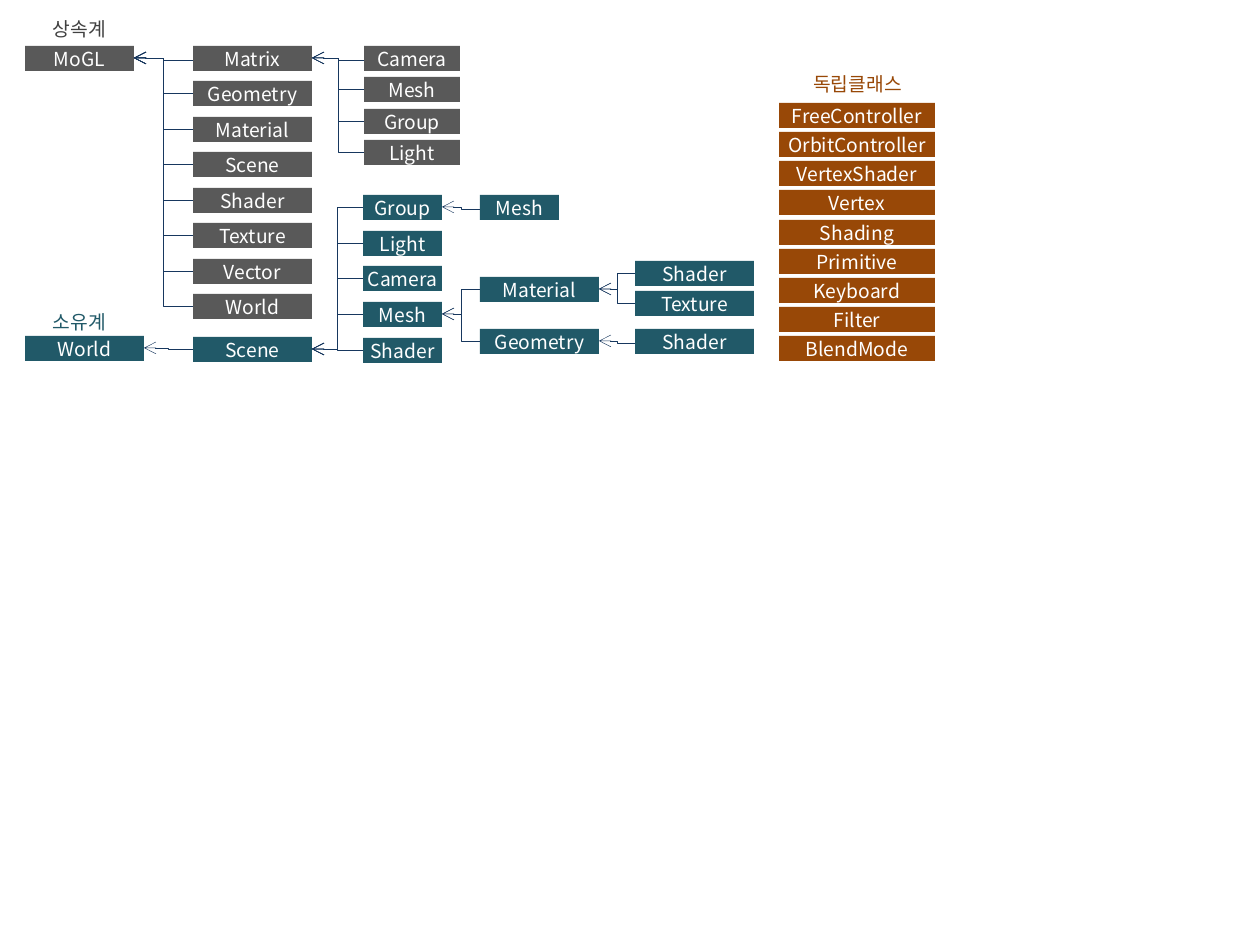
"""Build the class diagram slide: inheritance, ownership and independent classes."""
from lxml import etree
from pptx import Presentation
from pptx.dml.color import RGBColor
from pptx.enum.shapes import MSO_CONNECTOR, MSO_SHAPE
from pptx.enum.text import MSO_ANCHOR, PP_ALIGN
from pptx.oxml.ns import qn
from pptx.util import Inches, Pt

ELBOW = MSO_CONNECTOR.ELBOW
RECT = MSO_SHAPE.RECTANGLE
MIDDLE = MSO_ANCHOR.MIDDLE
CENTER = PP_ALIGN.CENTER

GRAY = RGBColor(0x59, 0x59, 0x59)
DARK = RGBColor(0x40, 0x40, 0x40)
TEAL = RGBColor(0x21, 0x59, 0x68)
BROWN = RGBColor(0x98, 0x48, 0x07)
NAVY = RGBColor(0x17, 0x37, 0x5E)
WHITE = RGBColor(0xFF, 0xFF, 0xFF)

FONT = "Noto Sans CJK KR"
ROW_H = 25
WIDE = 119
NARROW = 79
KINK = 2


def px(n):
    """Turn pixels into EMU."""
    return Inches(n / 126)


def write(sp, text, color):
    """Put one centred line of text into a shape."""
    tf = sp.text_frame
    tf.word_wrap = False
    tf.vertical_anchor = MIDDLE
    tf.margin_left = tf.margin_right = tf.margin_top = tf.margin_bottom = 0
    p = tf.paragraphs[0]
    p.text = text
    p.alignment = CENTER
    r = p.runs[0]
    r.font.size = Pt(11)
    r.font.name = FONT
    r.font.color.rgb = color
    etree.SubElement(r.font._element, qn("a:ea")).set("typeface", FONT)


def add_label(s, text, x, y, color):
    """Add a group heading."""
    sp = s.shapes.add_textbox(px(x), px(y), px(109), px(ROW_H))
    write(sp, text, color)


def add_box(s, name, x, y, w, fill):
    """Add a class box and return its x, y and width."""
    sp = s.shapes.add_shape(RECT, px(x), px(y), px(w), px(ROW_H))
    sp.shadow.inherit = False
    sp.fill.solid()
    sp.fill.fore_color.rgb = fill
    sp.line.fill.background()
    write(sp, name, WHITE)
    return x, y, w


def add_column(s, names, x, top, last, w, fill):
    """Add evenly spaced boxes from the top row to the last row."""
    step = (last - top) / (len(names) - 1)
    return [add_box(s, name, x, round(top + i * step), w, fill)
            for i, name in enumerate(names)]


def link(s, parent, children):
    """Draw an elbow arrow from each child to its parent."""
    x, y, w = parent
    for child_x, child_y, _ in children:
        drop = KINK if child_y == y else 0
        line = s.shapes.add_connector(
            ELBOW, px(child_x), px(child_y + ROW_H // 2 + drop),
            px(x + w), px(y + ROW_H // 2))
        line.line.color.rgb = NAVY
        line.line.width = Pt(0.25)
        ln = line.line._get_or_add_ln()
        etree.SubElement(ln, qn("a:tailEnd")).set("type", "arrow")
        etree.SubElement(line._element.spPr, qn("a:effectLst"))


def add_inheritance(s):
    """Draw the inheritance tree."""
    add_label(s, "상속계", 25, 16, DARK)
    root = add_box(s, "MoGL", 25, 46, 109, GRAY)
    classes = add_column(
        s, ["Matrix", "Geometry", "Material", "Scene", "Shader", "Texture",
            "Vector", "World"], 193, 46, 294, WIDE, GRAY)
    matrix_children = add_column(
        s, ["Camera", "Mesh", "Group", "Light"], 364, 46, 140, 96, GRAY)
    link(s, root, classes)
    link(s, classes[0], matrix_children)


def add_ownership(s):
    """Draw the ownership tree."""
    add_label(s, "소유계", 25, 309, TEAL)
    world = add_box(s, "World", 25, 336, WIDE, TEAL)
    scene = add_box(s, "Scene", 193, 337, WIDE, TEAL)
    members = add_column(
        s, ["Group", "Light", "Camera", "Mesh", "Shader"],
        363, 195, 338, NARROW, TEAL)
    group_mesh = add_box(s, "Mesh", 480, 195, NARROW, TEAL)
    material, geometry = add_column(
        s, ["Material", "Geometry"], 480, 277, 329, WIDE, TEAL)
    material_parts = add_column(
        s, ["Shader", "Texture"], 635, 261, 291, WIDE, TEAL)
    geometry_shader = add_box(s, "Shader", 635, 329, WIDE, TEAL)
    link(s, world, [scene])
    link(s, scene, members)
    link(s, members[0], [group_mesh])
    link(s, members[3], [material, geometry])
    link(s, material, material_parts)
    link(s, geometry, [geometry_shader])


def add_independent(s):
    """Draw the list of independent classes."""
    add_label(s, "독립클래스", 803, 71, BROWN)
    add_column(
        s, ["FreeController", "OrbitController", "VertexShader", "Vertex",
            "Shading", "Primitive", "Keyboard", "Filter", "BlendMode"],
        779, 103, 336, 156, BROWN)


def main():
    """Build and save the slide."""
    prs = Presentation()
    prs.slide_width = Inches(10)
    prs.slide_height = Inches(7.5)
    s = prs.slides.add_slide(prs.slide_layouts[6])
    add_inheritance(s)
    add_ownership(s)
    add_independent(s)
    prs.save("out.pptx")


if __name__ == "__main__":
    main()
